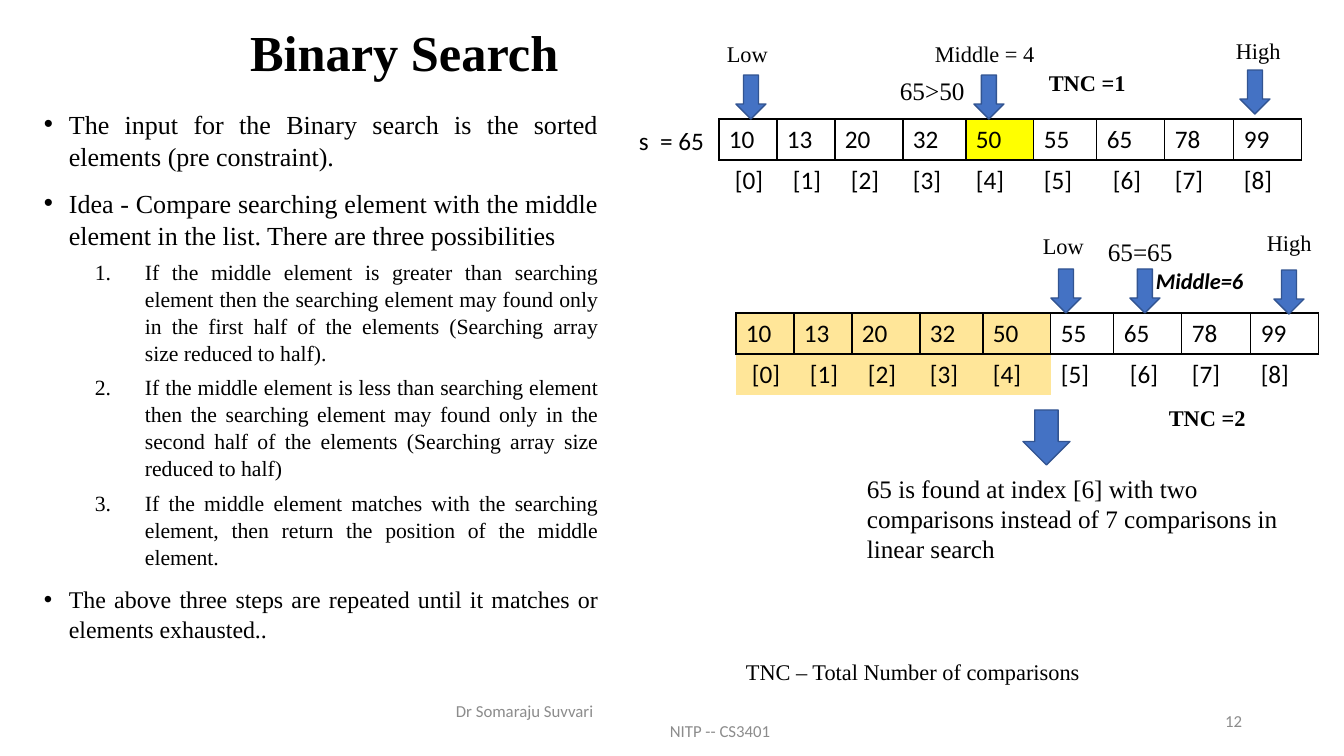
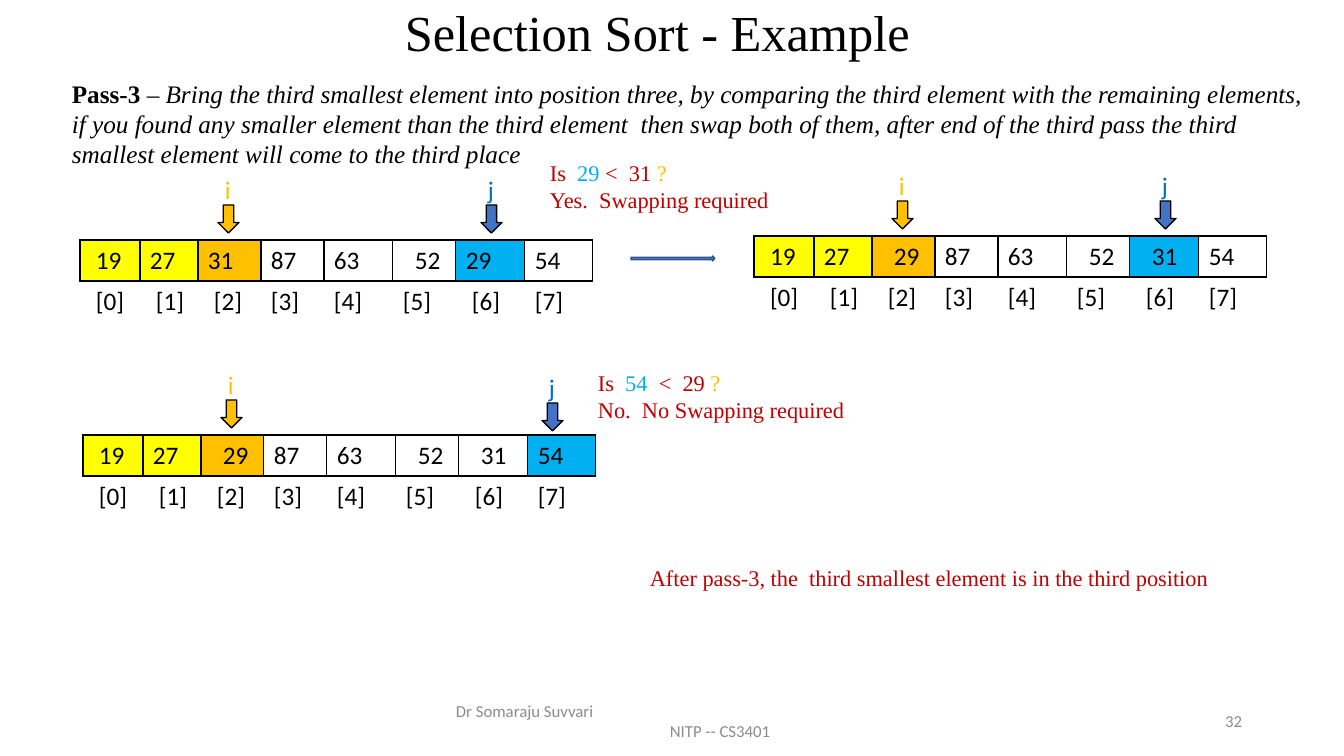
from itertools import accumulate

from lxml import etree
from pptx import Presentation
from pptx.dml.color import RGBColor
from pptx.enum.shapes import MSO_SHAPE
from pptx.enum.text import MSO_ANCHOR, MSO_AUTO_SIZE, PP_ALIGN
from pptx.oxml.ns import qn
from pptx.util import Pt

DOWN, RIGHT = MSO_SHAPE.DOWN_ARROW, MSO_SHAPE.RIGHT_ARROW
MIDDLE, FIXED = MSO_ANCHOR.MIDDLE, MSO_AUTO_SIZE.NONE
LEFT, CENTER, END, JUSTIFY = (
    PP_ALIGN.LEFT, PP_ALIGN.CENTER, PP_ALIGN.RIGHT, PP_ALIGN.JUSTIFY)

SCALE = 12192000 / 1344
WIDE, HIGH = 1344, 756


class Theme:
    serif, sans = "Times New Roman", "Calibri"
    black, white, grey = "000000", "FFFFFF", "8C8C8C"
    blue, edge, ink = "4472C4", "325491", "0070C0"
    yellow, cream, gold = "FFFF00", "FFE699", "FFC000"
    sky, red = "00B0F0", "C00000"
    title, text, label, small = 36, 18, 16, 12
    lead, step, last = 18.6, 15.5, 17.1


ROW = 41
INSET = 10
SPACE = 6
SEARCH_COLS = (58, 58, 68, 63, 68, 63, 68, 69, 68)
SORT_COLS = (60, 58, 63, 63, 69, 63, 69, 68)
INDENTED = (0, 1, 2, 6)


def px(n):
    return round(n * SCALE)


def rgb(code):
    return RGBColor.from_string(code)


def write(para, runs, size, color=Theme.black, font=Theme.serif, **style):
    """Add runs to a paragraph; a run is a string or (string, overrides)."""
    for item in [runs] if isinstance(runs, str) else runs:
        words, extra = (item, {}) if isinstance(item, str) else item
        look = {"name": font, "size": Pt(size), "color": color, **style, **extra}
        run = para.add_run()
        run.text = words
        run.font.color.rgb = rgb(look.pop("color"))
        for key, value in look.items():
            setattr(run.font, key, value)


def add_text(slide, box, *lines, size=Theme.label, align=LEFT, **style):
    shape = slide.shapes.add_textbox(*map(px, box))
    frame = shape.text_frame
    frame.word_wrap = True
    for n, runs in enumerate(lines):
        para = frame.add_paragraph() if n else frame.paragraphs[0]
        para.alignment = align
        write(para, runs, size, **style)
    return frame


def add_arrow(slide, box, kind=DOWN, fill=Theme.blue, line=Theme.edge):
    arrow = slide.shapes.add_shape(kind, *map(px, box))
    arrow.shadow.inherit = False
    arrow.fill.solid()
    arrow.fill.fore_color.rgb = rgb(fill)
    arrow.line.color.rgb = rgb(line)
    arrow.line.width = Pt(1)


def add_title(slide, box, words, align, **style):
    title = slide.shapes.title
    for key, value in zip(("left", "top", "width", "height"), box):
        setattr(title, key, px(value))
    frame = title.text_frame
    frame.auto_size, frame.vertical_anchor = FIXED, MIDDLE
    para = frame.paragraphs[0]
    para.alignment, para.line_spacing = align, 0.9
    write(para, words, Theme.title, **style)


def add_footer(slide, number):
    style = {"size": Theme.small, "color": Theme.grey, "font": Theme.sans}
    left = add_text(slide, (446, 701, 454, 40),
                    "Dr Somaraju Suvvari", "NITP -- CS3401", **style)
    left.paragraphs[1]._p.get_or_add_pPr().set("marL", str(px(214)))
    right = add_text(slide, (950, 701, 302, 40), str(number), align=END, **style)
    for frame in (left, right):
        frame.vertical_anchor = MIDDLE
        frame.margin_top = frame.margin_bottom = 0


def set_edges(cell, shown):
    props = cell._tc.get_or_add_tcPr()
    for side in "LRTB":
        line = etree.SubElement(props, qn("a:ln" + side), w=str(Pt(1)))
        if side in shown:
            fill = etree.SubElement(line, qn("a:solidFill"))
            etree.SubElement(fill, qn("a:srgbClr"), val=Theme.black)
        else:
            etree.SubElement(line, qn("a:noFill"))


def add_strip(slide, x, y, cols, values, fills, shifts=None, tinted=False):
    """Draw an array with its indexes below; fills and shifts go by column."""
    shifts = shifts or {}
    table = slide.shapes.add_table(
        2, len(cols), px(x), px(y), px(sum(cols)), px(2 * ROW)).table
    table.first_row = table.horz_banding = False
    for row in table.rows:
        row.height = px(ROW)
    for n, (width, value) in enumerate(zip(cols, values)):
        table.columns[n].width = px(width)
        parts = (
            (str(value), "LRTB", fills.get(n, Theme.white), shifts.get(n, 0)),
            (f"[{n}]", "T", fills.get(n) if tinted else None,
             SPACE if n in INDENTED else 0))
        for r, (words, sides, fill, shift) in enumerate(parts):
            cell = table.cell(r, n)
            set_edges(cell, sides)
            if fill:
                cell.fill.solid()
                cell.fill.fore_color.rgb = rgb(fill)
            else:
                cell.fill.background()
            cell.margin_left, cell.margin_right = px(INSET + shift), 0
            write(cell.text_frame.paragraphs[0], words, Theme.text,
                  font=Theme.sans)


def add_points(slide, box, points):
    """Write (level, size, words) points, bulleted or numbered by level."""
    frame = add_text(slide, box)
    for n, (level, size, words) in enumerate(points):
        para = frame.add_paragraph() if n else frame.paragraphs[0]
        para.level = level
        props = para._p.get_or_add_pPr()
        margin, hang = ((25, 25), (101, 50))[level]
        props.set("marL", str(px(margin)))
        props.set("indent", str(-px(hang)))
        if level:
            etree.SubElement(props, qn("a:buFont"), typeface=Theme.serif)
            etree.SubElement(props, qn("a:buAutoNum"), type="arabicPeriod")
        else:
            etree.SubElement(props, qn("a:buFont"), typeface="Arial")
            etree.SubElement(props, qn("a:buChar"), char="•")
        para.alignment, para.line_spacing = JUSTIFY, 1.04
        if n:
            para.space_before = Pt(5 if level else 10)
        write(para, words, size)


def add_search(slide, x, y, fills, tinted, arrows, labels):
    """Draw one search pass; arrows and labels are offset from its array."""
    add_strip(slide, x, y, SEARCH_COLS,
              (10, 13, 20, 32, 50, 55, 65, 78, 99), fills, tinted=tinted)
    for dx, dy in arrows:
        add_arrow(slide, (x + dx, y + dy, 30, 44))
    for words, dx, dy, style in labels:
        add_text(slide, (x + dx, y + dy, 132, 37), words, **style)


def add_sort(slide, x, y, values, fills, shifts, j, drop=0):
    """Draw one sort step with pointer i at column 2 and pointer j at offset j."""
    add_strip(slide, x, y, SORT_COLS, values,
              {0: Theme.yellow, 1: Theme.yellow, 2: Theme.gold, **fills},
              {n: SPACE * k for n, k in shifts.items()})
    starts = (0, *accumulate(SORT_COLS))
    i = starts[2] + SORT_COLS[2] // 2 - 11
    for name, dx, dy, fill, color in (
            ("i", i, 0, Theme.gold, Theme.gold),
            ("j", j, drop, Theme.blue, Theme.ink)):
        add_arrow(slide, (x + dx, y + dy - 35, 21, 28), fill=fill,
                  line=Theme.black)
        add_text(slide, (x + dx - 3, y + dy - 71, 40, 40), name,
                 size=Theme.text, color=color, font=Theme.sans)


def add_query(slide, box, left, right, answer):
    add_text(slide, box,
             ["Is", (left, {"color": Theme.sky}), right,
              ("?", {"color": Theme.gold})],
             answer, color=Theme.red)


def search_slide(slide):
    add_title(slide, (240, 24, 330, 62), "Binary Search", LEFT, bold=True)
    add_points(slide, (34, 102, 574, 590), (
        (0, Theme.lead, "The input for the Binary search is the sorted elements "
                        "(pre constraint)."),
        (0, Theme.lead, "Idea - Compare searching element with the middle element "
                        "in the list. There are three possibilities"),
        (1, Theme.step, "If the middle element is greater than searching element "
                        "then the searching element may found only in the first "
                        "half of the elements (Searching array size reduced to "
                        "half)."),
        (1, Theme.step, "If the middle element is less than searching element "
                        "then the searching element may found only in the second "
                        "half of the elements (Searching array size reduced to "
                        "half)"),
        (1, Theme.step, "If the middle element matches with the searching "
                        "element, then return the position of the middle "
                        "element."),
        (0, Theme.last, "The above three steps are repeated until it matches or "
                        "elements exhausted..")))
    big, bold = {"size": Theme.text}, {"bold": True}
    add_search(
        slide, 719, 119, {4: Theme.yellow}, False,
        ((17, -44), (255, -44), (521, -49)),
        (("Low", -2, -84, {}), ("Middle = 4", 206, -84, {}),
         ("High", 507, -87, {}), ("65>50", 171, -49, big),
         ("TNC =1", 320, -55, bold),
         ("s  = 65", -90, 1, {**big, "font": Theme.sans})))
    add_search(
        slide, 736, 313, dict.fromkeys(range(5), Theme.cream), True,
        ((315, -44), (394, -44), (538, -43)),
        (("Low", 297, -86, {}), ("High", 521, -89, {}),
         ("65=65", 362, -82, big),
         ("Middle=6", 410, -51, {**bold, "italic": True, "font": Theme.sans}),
         ("TNC =2", 423, 86, bold)))
    add_arrow(slide, (1023, 410, 47, 55))
    add_text(slide, (857, 468, 463, 102),
             "65 is found at index [6] with two comparisons instead of "
             "7 comparisons in linear search", size=Theme.text)
    add_text(slide, (736, 653, 386, 37), "TNC – Total Number of comparisons")
    add_footer(slide, 12)


def sort_slide(slide):
    add_title(slide, (217, 10, 881, 50), "Selection Sort - Example", CENTER)
    add_text(slide, (62, 73, 1268, 102), [
        ("Pass-3 ", {"bold": True}), "– ",
        ("Bring the third smallest element into position three, by comparing "
         "the third element with the remaining elements, if you found any "
         "smaller element than the third element  then swap both of them, "
         "after end of the third pass the third smallest element will come to "
         "the third place", {"italic": True})], size=Theme.text)
    add_sort(slide, 80, 240, (19, 27, 31, 87, 63, 52, 29, 54),
             {6: Theme.sky}, {0: 1, 5: 2}, 401)
    add_query(slide, (540, 154, 253, 64), "  29 ", "<  31 ",
              "Yes.  Swapping required")
    add_arrow(slide, (631, 256, 84, 5), RIGHT)
    swapped, shifts = (19, 27, 29, 87, 63, 52, 31, 54), {0: 1, 2: 2, 5: 2, 6: 2}
    add_sort(slide, 754, 236, swapped, {6: Theme.sky}, shifts, 401)
    add_sort(slide, 83, 435, swapped, {7: Theme.sky}, shifts, 459, 3)
    add_query(slide, (588, 364, 316, 64), "  54  ", "<  29 ",
              "No.  No Swapping required")
    add_text(slide, (640, 559, 601, 37),
             "After pass-3, the  third smallest element is in the third position",
             color=Theme.red)
    add_footer(slide, 32)


def main():
    deck = Presentation()
    deck.slide_width, deck.slide_height = px(WIDE), px(HIGH)
    for build in (search_slide, sort_slide):
        build(deck.slides.add_slide(deck.slide_layouts[5]))
    deck.save("out.pptx")


if __name__ == "__main__":
    main()
